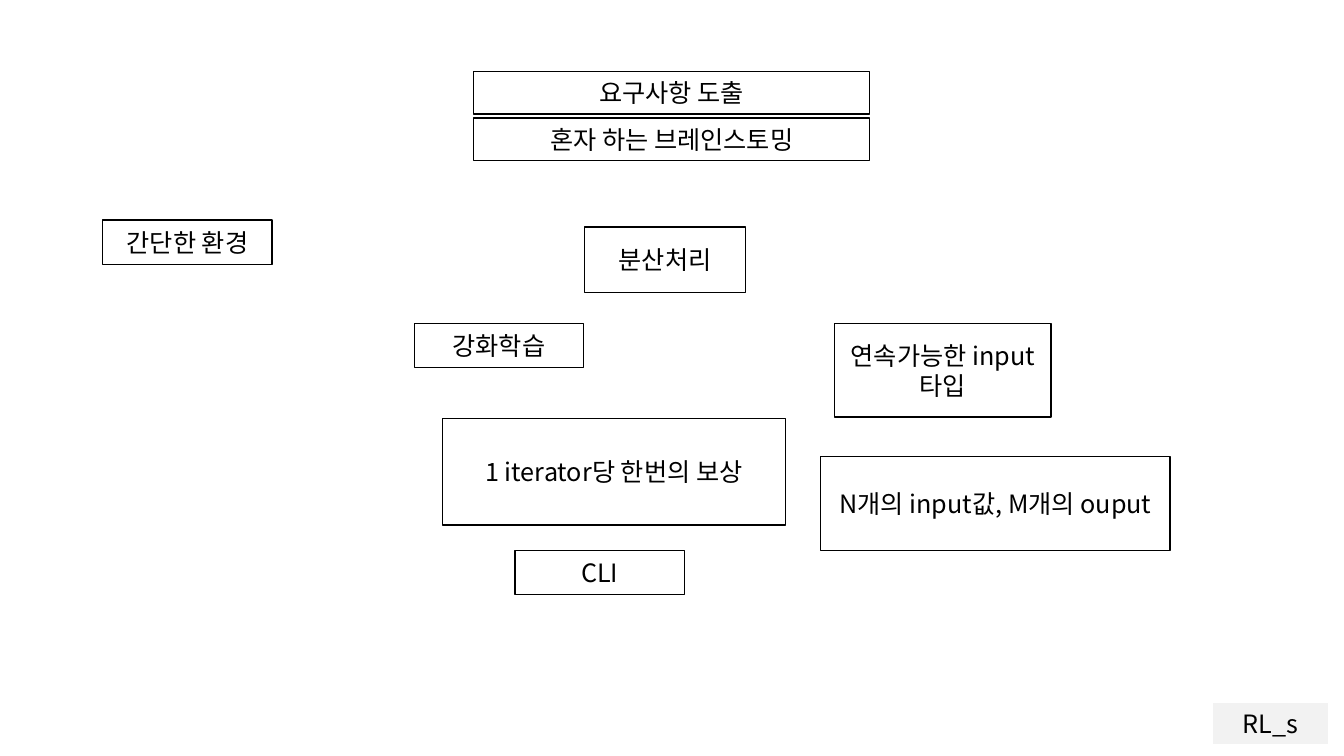
from dataclasses import dataclass

from lxml import etree
from pptx import Presentation
from pptx import util as u
from pptx.dml.color import RGBColor
from pptx.enum import shapes, text
from pptx.oxml.ns import qn

FONT = "Noto Sans CJK KR"
BLACK = RGBColor(0x00, 0x00, 0x00)
WHITE = RGBColor(0xFF, 0xFF, 0xFF)
GRAY = RGBColor(0xF2, 0xF2, 0xF2)

HEADER_LEFT, HEADER_WIDTH, HEADER_HEIGHT = 11.94, 9.98, 1.07
TAG_WIDTH, TAG_HEIGHT = 4.27, 1.12


@dataclass(frozen=True)
class Card:
    """A framed label; lengths are in centimetres."""
    label: str
    left: float
    top: float
    width: float = TAG_WIDTH
    height: float = TAG_HEIGHT
    fill: RGBColor = WHITE
    line: RGBColor = BLACK


TITLE = Card("요구사항 도출", HEADER_LEFT, 1.8, HEADER_WIDTH, HEADER_HEIGHT)
CARDS = [
    Card("RL_s", 30.56, 17.7, 2.92, HEADER_HEIGHT, fill=GRAY, line=WHITE),
    Card("간단한 환경", 2.59, 5.54),
    Card("혼자 하는 브레인스토밍", HEADER_LEFT, 2.97, HEADER_WIDTH, HEADER_HEIGHT),
    Card("강화학습", 10.44, 8.15),
    Card("CLI", 12.98, 13.87),
    Card("연속가능한 input 타입", 21.03, 8.15, 5.46, 2.36),
    Card("N개의 input값, M개의 ouput", 20.68, 11.51, 8.81, 2.36),
    Card("1 iterator당 한번의 보상", 11.15, 10.54, 8.64, 2.69),
    Card("분산처리", 14.73, 5.72, 4.06, 1.65),
]


def write_text(sp, label: str, *, size: float = 18, color: RGBColor = BLACK,
               font: str = FONT) -> None:
    """Put one centred, formatted paragraph into a shape."""
    tf = sp.text_frame
    tf.word_wrap = True
    tf.auto_size = text.MSO_AUTO_SIZE.NONE
    tf.vertical_anchor = text.MSO_ANCHOR.MIDDLE
    p = tf.paragraphs[0]
    p.alignment = text.PP_ALIGN.CENTER
    r = p.add_run()
    r.text = label
    r.font.size = u.Pt(size)
    r.font.color.rgb = color
    r.font.name = font
    etree.SubElement(r.font._element, qn("a:ea"), typeface=font)


def style_card(sp, card: Card) -> None:
    """Place a shape and give it the card's frame, fill and label."""
    sp.left, sp.top = u.Cm(card.left), u.Cm(card.top)
    sp.width, sp.height = u.Cm(card.width), u.Cm(card.height)
    sp.fill.solid()
    sp.fill.fore_color.rgb = card.fill
    sp.line.color.rgb = card.line
    sp.line.width = u.Pt(1)
    sp.shadow.inherit = False
    write_text(sp, card.label)


def add_card(s, card: Card) -> None:
    """Add a rectangle for one card."""
    sp = s.shapes.add_shape(
        shapes.MSO_SHAPE.RECTANGLE, u.Cm(card.left), u.Cm(card.top),
        u.Cm(card.width), u.Cm(card.height))
    style_card(sp, card)


def main() -> None:
    """Build the brainstorming slide."""
    prs = Presentation()
    prs.slide_width, prs.slide_height = u.Cm(33.87), u.Cm(19.05)
    title_only = prs.slide_layouts[5]
    s = prs.slides.add_slide(title_only)
    style_card(s.shapes.title, TITLE)
    for card in CARDS:
        add_card(s, card)
    prs.save("out.pptx")


main()
